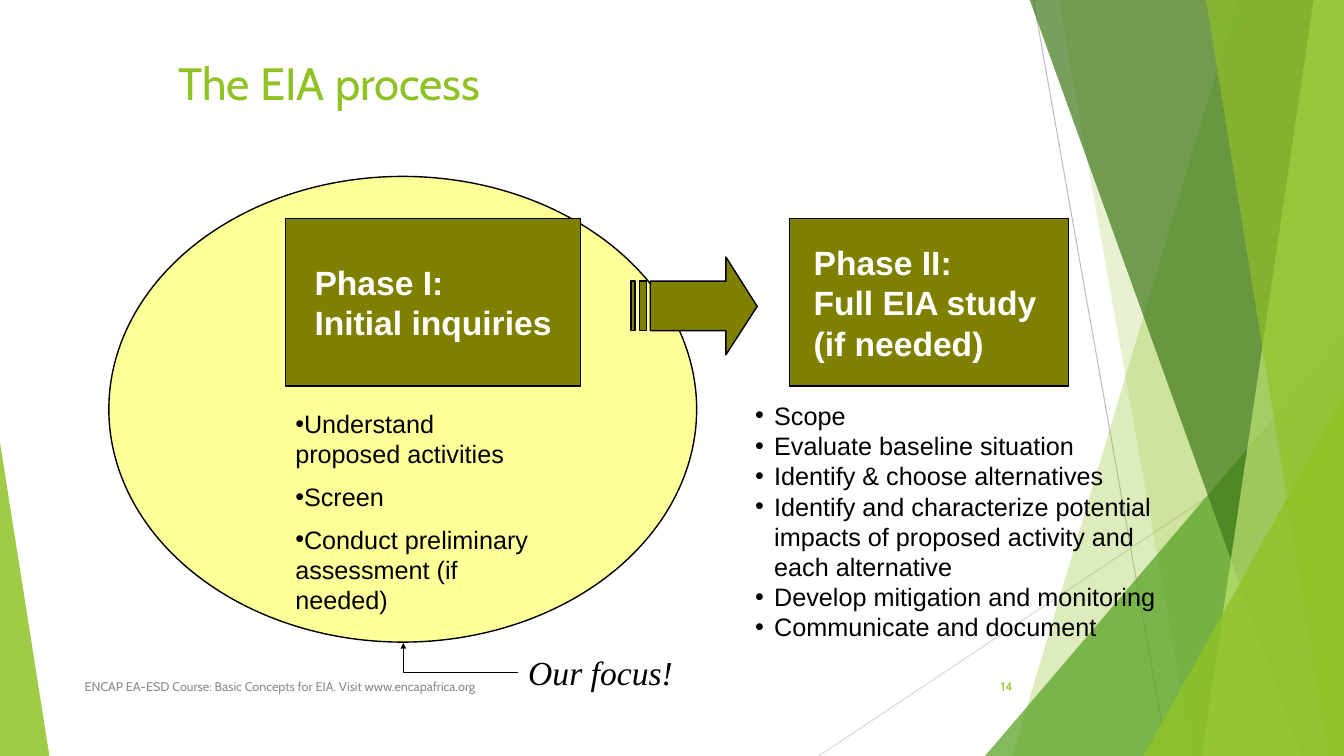
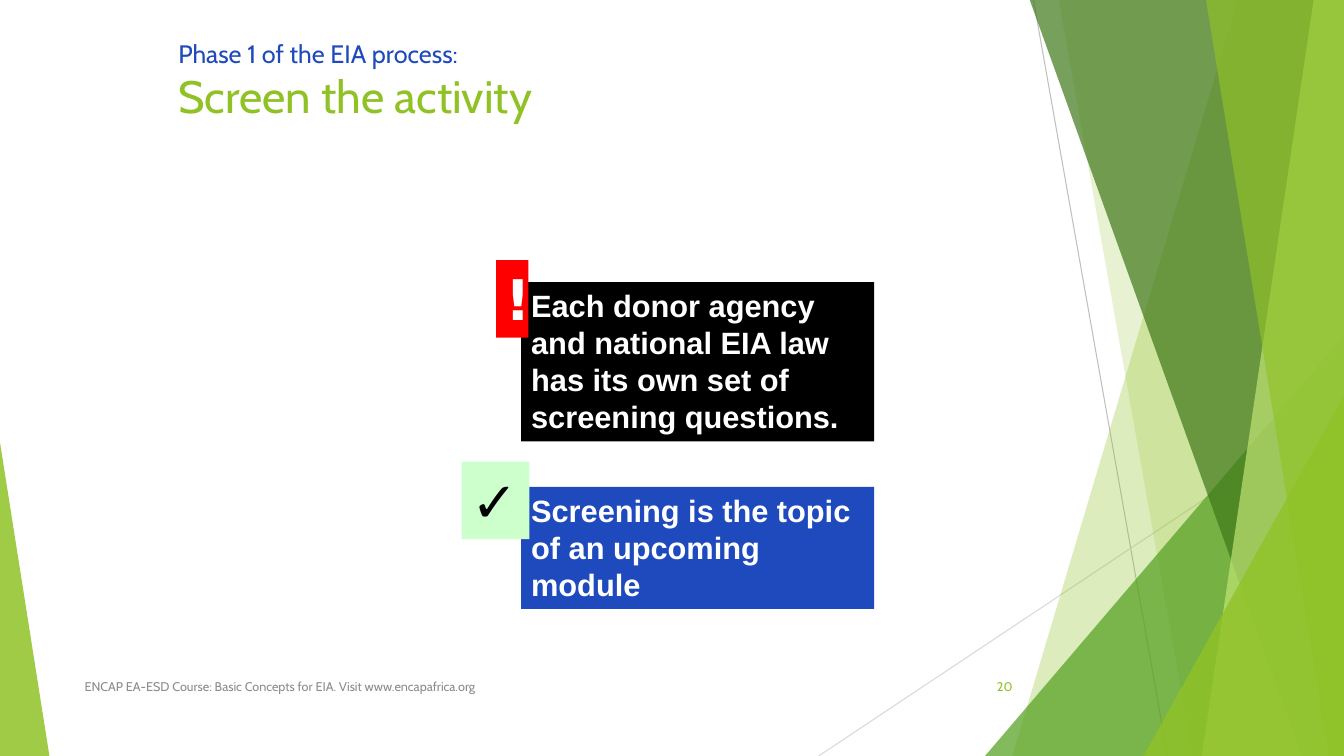
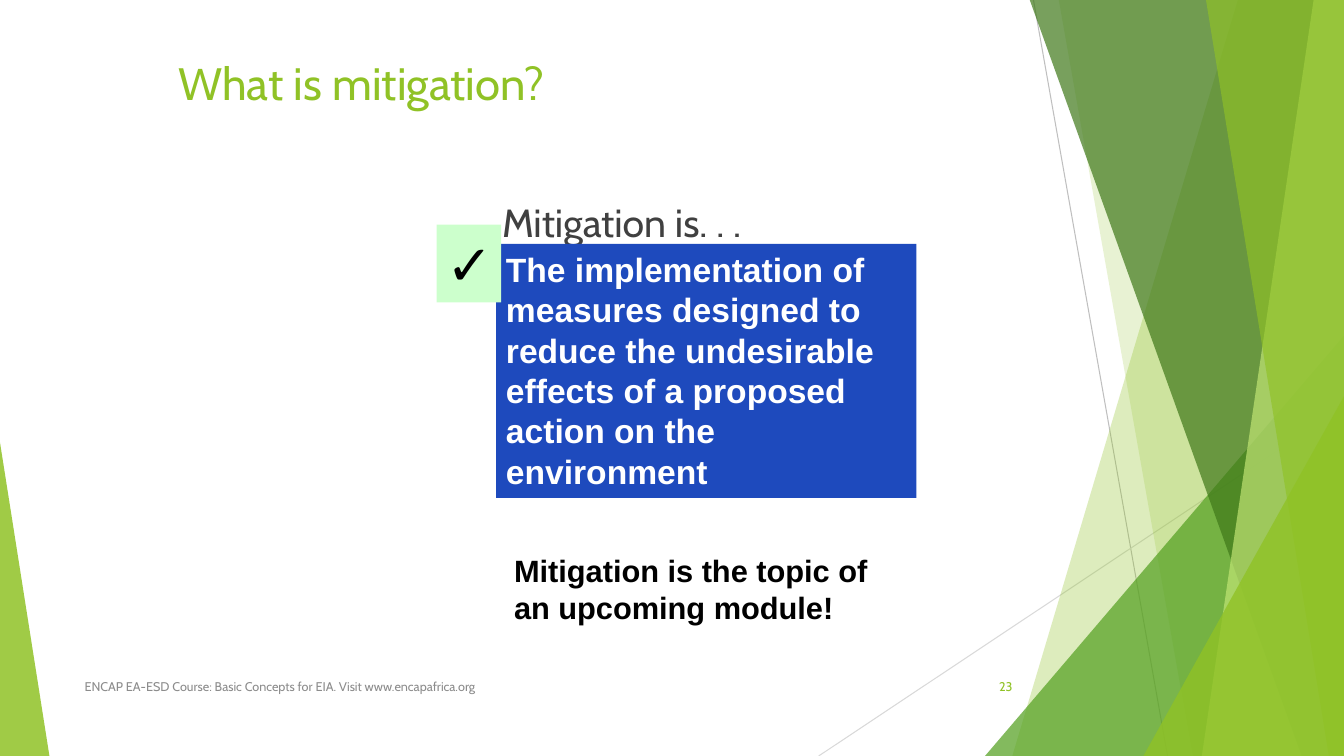
from lxml.etree import SubElement
from pptx import Presentation
from pptx.dml.color import RGBColor
from pptx.enum.shapes import MSO_CONNECTOR as Link, MSO_SHAPE as Preset
from pptx.enum.text import MSO_ANCHOR as Anchor, PP_ALIGN as Align
from pptx.oxml.ns import qn
from pptx.util import Inches, Pt

WIDTH, HEIGHT = 13.33, 7.5
COLOURS = {
    "white": "FFFFFF", "black": "000000", "body": "404040", "footer": "8C8C8C",
    "lime": "90C226", "green": "54A021", "forest": "3F7819", "pale lime": "C0E474",
    "thin grey": "BFBFBF", "light grey": "D9D9D9", "yellow": "FFFF99",
    "olive": "808000", "blue": "1E4ABD", "red": "FF0000", "mint": "CCFFCC",
}
FOOTER = "ENCAP EA-ESD Course: Basic Concepts for EIA. Visit www.encapafrica.org"

# Facets from back to front: slants give their top and bottom x on the left edge,
# triangles give their left, top, width, height and apex position.
FACETS = [
    ("slant", (12.28, 10.04), "lime", 30),
    ("slant", (10.5, 11.83), "lime", 20),
    ("triangle", (9.77, 3.33, 3.56, 4.17, 1), "green", 72),
    ("slant", (10.21, 12.91), "forest", 70),
    ("slant", (13.03, 11.92), "pale lime", 70),
    ("slant", (11.96, 13.18), "lime", 65),
    ("triangle", (11.34, 3.93, 1.99, 3.57, 1), "lime", 80),
    ("triangle", (0, 4.39, 0.49, 3.11, 0), "lime", 85),
]


def rgb(colour):
    return RGBColor.from_string(COLOURS[colour])


def write(shape, paragraphs, size=18, font="Arial", colour="black", bold=False,
          italic=False, align=Align.LEFT, anchor=Anchor.TOP, wrap=True,
          inset=0.1, bullet=None, indent=(0, 0), gap=0):
    """Fill a shape with paragraphs, each a string or a list of (text, size, colour)."""
    frame = shape.text_frame
    frame.word_wrap = wrap
    frame.vertical_anchor = anchor
    frame.margin_left = Inches(inset)
    for number, content in enumerate(paragraphs):
        paragraph = frame.paragraphs[0] if number == 0 else frame.add_paragraph()
        paragraph.alignment = align
        if number and gap:
            paragraph.space_before = Pt(gap)
        if bullet:
            properties = paragraph._p.get_or_add_pPr()
            left, first = indent
            properties.set("marL", str(Inches(left)))
            properties.set("indent", str(Inches(first)))
            SubElement(properties, qn("a:buFont"), typeface="Arial")
            SubElement(properties, qn("a:buChar"), char=bullet)
        parts = [(content, size, colour)] if isinstance(content, str) else content
        for words, part_size, part_colour in parts:
            for row, line in enumerate(words.split("\n")):
                if row:
                    paragraph.add_line_break()
                if not line:
                    continue
                run = paragraph.add_run()
                run.text = line
                run.font.name = font
                run.font.size = Pt(part_size)
                run.font.bold = bold
                run.font.italic = italic
                run.font.color.rgb = rgb(part_colour)
    return shape


class Deck:
    def __init__(self):
        self.show = Presentation()
        self.show.slide_width = Inches(WIDTH)
        self.show.slide_height = Inches(HEIGHT)
        self.slide = None

    def start(self, title, number, top=0.5):
        """Open a slide with the shared facets, title and footer."""
        self.slide = self.show.slides.add_slide(self.show.slide_layouts[6])
        self.connector((10.25, 0), (11.58, HEIGHT), "thin grey")
        self.connector((WIDTH, 4.03), (8.12, HEIGHT), "light grey")
        for kind, place, colour, opacity in FACETS:
            if kind == "slant":
                upper, lower = place
                self.outline([[(upper, -0.01), (WIDTH, -0.01), (WIDTH, HEIGHT),
                               (lower, HEIGHT)]], colour, opacity=opacity)
            else:
                *box, apex = place
                facet = self.shape(box, colour, Preset.ISOSCELES_TRIANGLE, opacity=opacity)
                facet.adjustments[0] = apex
        self.text((1.67, top, 8.5, 0.67), [title], size=32.4, font="Cabin", colour="lime")
        small = dict(size=9, font="Cabin", anchor=Anchor.MIDDLE)
        self.text((0.74, 6.61, 6.89, 0.4), [FOOTER], colour="footer", **small)
        self.text((9.39, 6.61, 0.75, 0.4), [str(number)], colour="lime",
                  align=Align.RIGHT, **small)

    def paint(self, shape, fill, line=None, opacity=100):
        shape.shadow.inherit = False
        shape.fill.solid()
        shape.fill.fore_color.rgb = rgb(fill)
        if opacity < 100:
            tint = shape._element.spPr.find(qn("a:solidFill")).find(qn("a:srgbClr"))
            SubElement(tint, qn("a:alpha"), val=str(opacity * 1000))
        if line:
            shape.line.color.rgb = rgb(line)
            shape.line.width = Pt(1)
        else:
            shape.line.fill.background()
        return shape

    def shape(self, box, fill, preset=Preset.RECTANGLE, line=None, opacity=100):
        added = self.slide.shapes.add_shape(preset, *map(Inches, box))
        return self.paint(added, fill, line, opacity)

    def outline(self, contours, fill, line=None, opacity=100):
        """Draw one shape from closed contours, each a list of points in inches."""
        first, *others = [[(Inches(x), Inches(y)) for x, y in contour]
                          for contour in contours]
        builder = self.slide.shapes.build_freeform(*first[0])
        builder.add_line_segments(first[1:], close=True)
        for contour in others:
            builder.move_to(*contour[0])
            builder.add_line_segments(contour[1:], close=True)
        return self.paint(builder.convert_to_shape(), fill, line, opacity)

    def connector(self, start, end, colour, width=0.75, kind=Link.STRAIGHT):
        added = self.slide.shapes.add_connector(kind, *map(Inches, start + end))
        added.line.color.rgb = rgb(colour)
        added.line.width = Pt(width)
        SubElement(added._element.spPr, qn("a:effectLst"))
        return added

    def corner_arrow(self, start, end):
        """Arrow running left from start, then up to end."""
        (right, bottom), (left, top) = start, end
        arrow = self.connector((left, top), (right, bottom), "black", 1, Link.ELBOW)
        properties = arrow._element.spPr
        properties.find(qn("a:xfrm")).set("rot", "10800000")
        properties.find(qn("a:prstGeom")).set("prst", "bentConnector2")
        SubElement(properties.find(qn("a:ln")), qn("a:tailEnd"), type="triangle",
                   w="sm", len="sm")

    def text(self, box, paragraphs, **style):
        return write(self.slide.shapes.add_textbox(*map(Inches, box)), paragraphs, **style)

    def panel(self, box, words, fill, line=None, size=22, colour="white", **style):
        """Filled rectangle with bold text."""
        return write(self.shape(box, fill, line=line), [words], size=size,
                     colour=colour, bold=True, **style)

    def badge(self, box, mark, fill, colour):
        self.panel(box, mark, fill, size=40, colour=colour, font="DejaVu Sans")


def process_slide(deck):
    deck.start("The EIA process", 14)
    deck.shape((1.08, 1.75, 5.83, 4.62), "yellow", Preset.OVAL, "black")
    deck.text((7.33, 3.92, 4.25, 2.52), [
        "Scope",
        "Evaluate baseline situation",
        "Identify & choose alternatives",
        "Identify and characterize potential impacts of proposed activity and each alternative",
        "Develop mitigation and monitoring",
        "Communicate and document",
    ], bullet="•", indent=(0.25, -0.19))
    for left, width, inset, phase in [
        (2.83, 2.93, 0.29, "Phase I:\nInitial inquiries"),
        (7.83, 2.77, 0.24, "Phase II:\nFull EIA study\n(if needed)"),
    ]:
        deck.panel((left, 2.17, width, 1.66), phase, "olive", "black", size=24,
                   anchor=Anchor.MIDDLE, inset=inset)
    upper, lower = 2.79, 3.28
    stripes = [[(left, upper), (left, lower), (right, lower), (right, upper)]
               for left, right in [(6.34, 6.41), (6.26, 6.3)]]
    head = [(7.2, 2.55), (7.2, upper), (6.45, upper), (6.45, lower),
            (7.2, lower), (7.2, 3.52), (7.51, 3.04)]
    deck.outline([head, *stripes], "olive", "black")
    deck.text((5.14, 6.42, 1.65, 0.5), ["Our focus!"], size=24,
              font="Times New Roman", italic=True, wrap=False)
    deck.corner_arrow((5.14, 6.67), (4, 6.38))
    deck.text((2.83, 4, 2.58, 2.22), [
        "Understand proposed activities",
        "Screen",
        "Conduct preliminary assessment (if needed)",
    ], bullet="•", gap=9)


def screening_slide(deck):
    deck.start([("Phase 1 of the EIA process:\n", 18, "blue"),
                ("Screen the activity", 32.4, "lime")], 20, top=0.33)
    deck.panel((5.17, 2.8, 3.5, 1.58),
               "Each donor agency and national EIA law has its own set of screening questions.",
               "black")
    deck.badge((4.92, 2.58, 0.32, 0.77), "!", "red", "white")
    deck.panel((5.17, 4.83, 3.5, 1.21), "Screening is the topic of an upcoming module", "blue")
    deck.badge((4.58, 4.58, 0.67, 0.77), "✓", "mint", "black")


def mitigation_slide(deck):
    deck.start("What is mitigation?", 23)
    deck.text((4.5, 1.92, 5.33, 0.67), ["Mitigation is. . ."], size=28,
              font="Cabin", colour="body", inset=0.48)
    deck.panel((4.92, 2.42, 4.17, 2.52),
               "The implementation of measures designed to reduce the undesirable "
               "effects of a proposed action on the environment", "blue", size=24)
    deck.badge((4.33, 2.23, 0.64, 0.77), "✓", "mint", "black")
    deck.text((5, 5.42, 4.08, 0.84), ["Mitigation is the topic of an upcoming module!"],
              size=22, bold=True)


def main():
    deck = Deck()
    for build in (process_slide, screening_slide, mitigation_slide):
        build(deck)
    deck.show.save("out.pptx")


if __name__ == "__main__":
    main()
